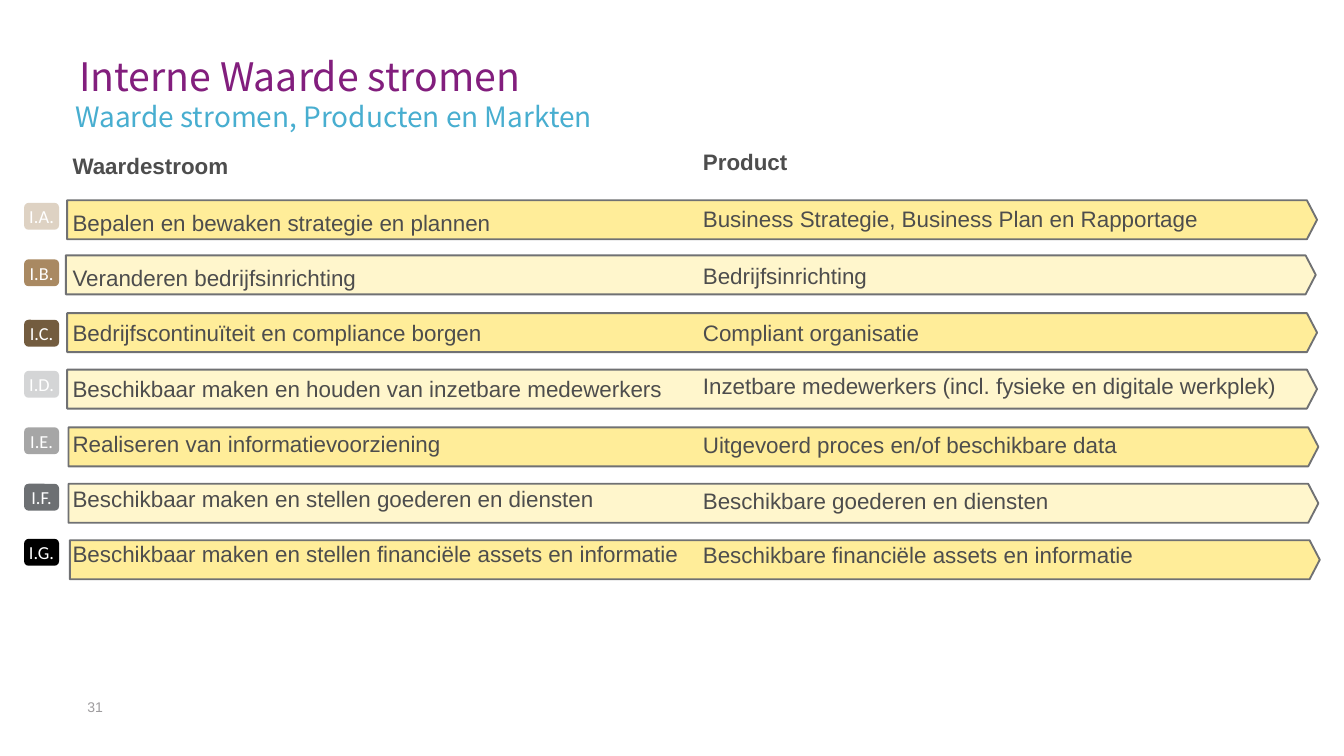
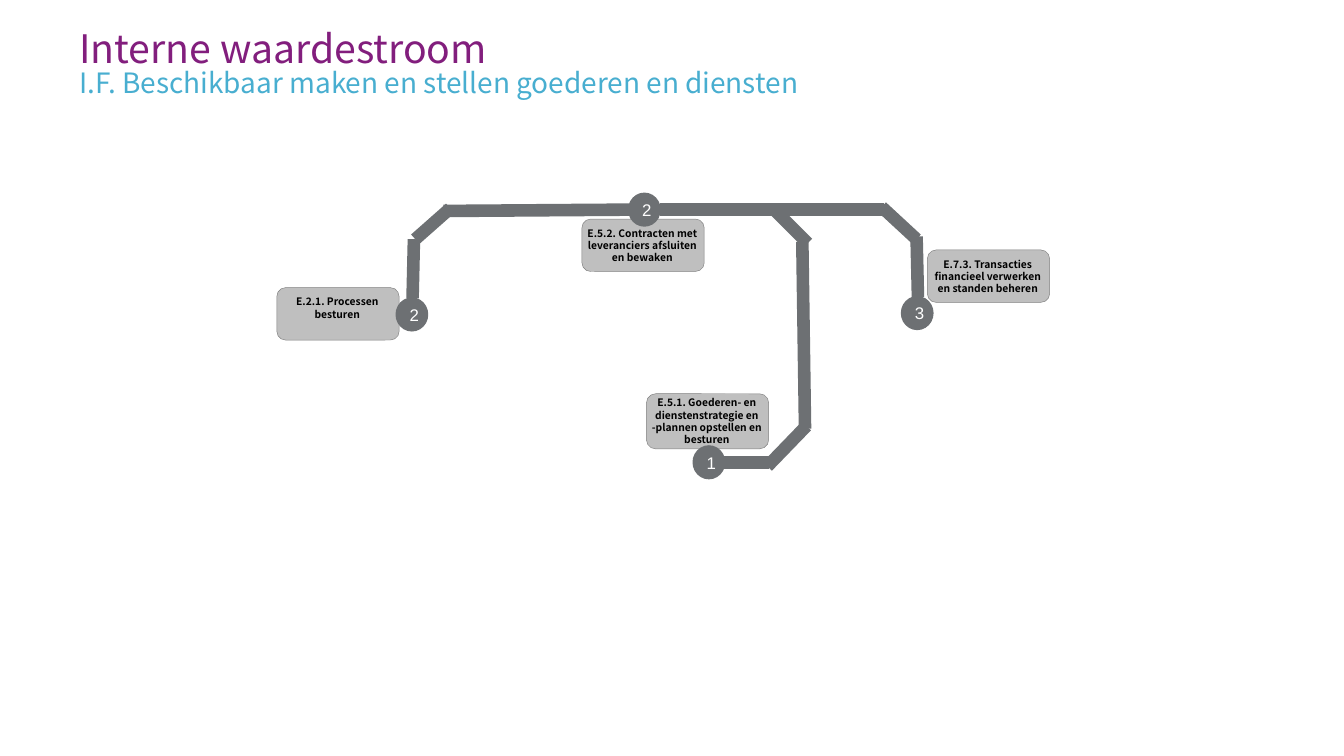
from dataclasses import dataclass

from lxml.etree import SubElement
from pptx import Presentation
from pptx.dml.color import RGBColor
from pptx.enum.shapes import MSO_CONNECTOR as Connector, MSO_SHAPE as Shape
from pptx.enum.text import MSO_ANCHOR as Anchor, PP_ALIGN as Align
from pptx.oxml.ns import qn
from pptx.util import Emu, Inches, Pt

EMU_PER_PX = 9144  # 100 px to the inch
SLIDE_WIDTH = Inches(10)
SLIDE_HEIGHT = SLIDE_WIDTH * 9 // 16


@dataclass(frozen=True)
class Theme:
    title: str = "821E7D"
    subtitle: str = "48AED0"
    body: str = "4D4D4D"
    page_number: str = "9E9C9E"
    white: str = "FFFFFF"
    black: str = "000000"
    bar_fills: tuple = ("FFED99", "FFF6CC")
    bar_line: str = "707173"
    track: str = "6D7073"
    label_fill: str = "BFBFBF"
    label_line: str = "808080"
    heading_font: str = "Noto Sans CJK TC"
    body_font: str = "Arial"
    badge_font: str = "Calibri"
    title_size: float = 21
    subtitle_size: float = 15
    body_size: float = 12
    badge_size: float = 9.8
    station_size: float = 9
    page_size: float = 7.5
    label_size: float = 5.5
    track_width: float = 6.75


THEME = Theme()

# code, badge colour, badge top, bar left, bar top, value stream,
# product, product space before and after
STREAMS = [
    ("I.A.", "DED2C3", 151, 50, 149, "Bepalen en bewaken strategie en plannen",
     "Business Strategie, Business Plan en Rapportage", 4.5, 4.5),
    ("I.B.", "A98962", 193, 49, 190, "Veranderen bedrijfsinrichting",
     "Bedrijfsinrichting", 4.5, 4.5),
    ("I.C.", "735C3F", 238, 50, 233, "Bedrijfscontinuïteit en compliance borgen",
     "Compliant organisatie", 4.5, 2),
    ("I.D.", "D4D5D6", 276, 50, 275, "Beschikbaar maken en houden van inzetbare medewerkers",
     "Inzetbare medewerkers (incl. fysieke en digitale werkplek)", 4.5, 2),
    ("I.E.", "A6A6A6", 318, 51, 318, "Realiseren van informatievoorziening",
     "Uitgevoerd proces en/of beschikbare data", 8, 4.5),
    ("I.F.", "6D7073", 360, 51, 360, "Beschikbaar maken en stellen goederen en diensten",
     "Beschikbare goederen en diensten", 4, 4.5),
    ("I.G.", "000000", 401, 52, 402, "Beschikbaar maken en stellen financiële assets en informatie",
     "Beschikbare financiële assets en informatie", 3, 4.5),
]

# left, top, height, top inset, text
LABELS = [
    (481, 293, 41, 0, "E.5.1. Goederen- en dienstenstrategie en -plannen opstellen en besturen"),
    (690, 186, 39, 4, "E.7.3. Transacties financieel verwerken en standen beheren"),
    (206, 214, 39, 4, "E.2.1. Processen besturen"),
    (433, 163, 39, 4, "E.5.2. Contracten met leveranciers afsluiten en bewaken"),
]

STATIONS = [(516, 332, "1"), (671, 221, "3"), (468, 144, "2"), (295, 222, "2")]

TRACKS = [
    (572, 344, 539, 344),
    (571, 347, 600, 317),
    (599, 319, 597, 180),
    (601, 181, 575, 155),
    (682, 178, 656, 154),
    (658, 156, 491, 156),
    (683, 221, 682, 176),
    (309, 178, 335, 155),
    (330, 157, 468, 156),
    (307, 222, 308, 178),
]


def px(*lengths):
    return [Emu(length * EMU_PER_PX) for length in lengths]


def rgb(colour):
    return RGBColor.from_string(colour)


def set_insets(frame, *insets):
    """Set the left, top, right and bottom insets."""
    (frame.margin_left, frame.margin_top,
     frame.margin_right, frame.margin_bottom) = px(*insets)


def style(paragraph, font_name, size, colour, bold=False):
    font = paragraph.font
    font.name, font.size, font.bold = font_name, Pt(size), bold
    font.color.rgb = rgb(colour)


def add_text_frame(slide, box):
    frame = slide.shapes.add_textbox(*px(*box)).text_frame
    frame.word_wrap = True
    set_insets(frame, 0, 0, 0, 0)
    return frame


def add_line(slide, box, text, font_name, size, colour, spacing=None):
    paragraph = add_text_frame(slide, box).paragraphs[0]
    paragraph.text = text
    paragraph.line_spacing = spacing
    style(paragraph, font_name, size, colour)


def add_heading(slide, title, title_box, subtitle, subtitle_box):
    add_line(slide, title_box, title, THEME.heading_font,
             THEME.title_size, THEME.title, Pt(28))
    add_line(slide, subtitle_box, subtitle, THEME.heading_font,
             THEME.subtitle_size, THEME.subtitle, 1.2)


def add_shape(slide, kind, box, fill, line=None, line_width=1):
    shape = slide.shapes.add_shape(kind, *px(*box))
    shape.shadow.inherit = False
    shape.fill.solid()
    shape.fill.fore_color.rgb = rgb(fill)
    if line:
        shape.line.color.rgb = rgb(line)
        shape.line.width = Pt(line_width)
    else:
        shape.line.fill.background()
    return shape


def write_centred(shape, text, anchor, *font):
    frame = shape.text_frame
    frame.vertical_anchor = anchor
    paragraph = frame.paragraphs[0]
    paragraph.text = text
    paragraph.alignment = Align.CENTER
    style(paragraph, *font)


def add_bar(slide, left, top, fill):
    bar = add_shape(slide, Shape.PENTAGON, (left, top, 930, 29), fill, THEME.bar_line)
    bar.adjustments[0] = 0.26


def add_badge(slide, top, fill, code):
    badge = add_shape(slide, Shape.ROUNDED_RECTANGLE, (18, top, 26, 20), fill)
    set_insets(badge.text_frame, 0, 5, 0, 5)
    write_centred(badge, code, Anchor.MIDDLE, THEME.badge_font,
                  THEME.badge_size, THEME.white)


def add_column(slide, box, header, header_after, entries):
    """Write a bold header and entries of (text, space before, space after)."""
    frame = add_text_frame(slide, box)
    for index, (text, before, after) in enumerate([(header, 0, header_after), *entries]):
        paragraph = frame.add_paragraph() if index else frame.paragraphs[0]
        paragraph.text = text
        paragraph.line_spacing = 1.5
        paragraph.space_before, paragraph.space_after = Pt(before), Pt(after)
        style(paragraph, THEME.body_font, THEME.body_size, THEME.body, index == 0)


def add_label(slide, left, top, height, top_inset, text):
    label = add_shape(slide, Shape.ROUNDED_RECTANGLE, (left, top, 91, height),
                      THEME.label_fill, THEME.label_line, 0.25)
    set_insets(label.text_frame, 0, top_inset, 1, 4)
    write_centred(label, text, Anchor.TOP, THEME.heading_font,
                  THEME.label_size, THEME.black, True)


def add_station(slide, left, top, number):
    station = add_shape(slide, Shape.OVAL, (left, top, 23, 24), THEME.track, THEME.track)
    write_centred(station, number, Anchor.MIDDLE, THEME.body_font,
                  THEME.station_size, THEME.white)


def add_track(slide, ends):
    track = slide.shapes.add_connector(Connector.STRAIGHT, *px(*ends))
    track.line.color.rgb = rgb(THEME.track)
    track.line.width = Pt(THEME.track_width)
    SubElement(track._element.spPr, qn("a:effectLst"))


def build_overview(slide):
    add_line(slide, (65, 520, 39, 24), "31", THEME.body_font,
             THEME.page_size, THEME.page_number)
    for index, (_, _, _, left, top, *_) in enumerate(STREAMS):
        add_bar(slide, left, top, THEME.bar_fills[index % 2])
    add_column(slide, (523, 100, 472, 373), "Product", 4.5,
               [stream[6:] for stream in STREAMS])
    add_column(slide, (54, 103, 737, 373), "Waardestroom", 4.5,
               [(stream[5], 4.5, 3.5) for stream in STREAMS])
    for code, fill, top, *_ in STREAMS:
        add_badge(slide, top, fill, code)
    add_heading(slide, "Interne Waarde stromen", (59, 35, 728, 39),
                "Waarde stromen, Producten en Markten", (56, 69, 832, 24))


def build_stream_map(slide):
    add_heading(slide, "Interne waardestroom", (59, 14, 728, 39),
                "I.F. Beschikbaar maken en stellen goederen en diensten",
                (59, 44, 755, 22))
    for label in LABELS:
        add_label(slide, *label)
    for station in STATIONS:
        add_station(slide, *station)
    for ends in TRACKS:
        add_track(slide, ends)


def main():
    presentation = Presentation()
    presentation.slide_width = SLIDE_WIDTH
    presentation.slide_height = SLIDE_HEIGHT
    blank = presentation.slide_layouts[6]
    for build in (build_overview, build_stream_map):
        build(presentation.slides.add_slide(blank))
    presentation.save("out.pptx")


if __name__ == "__main__":
    main()
